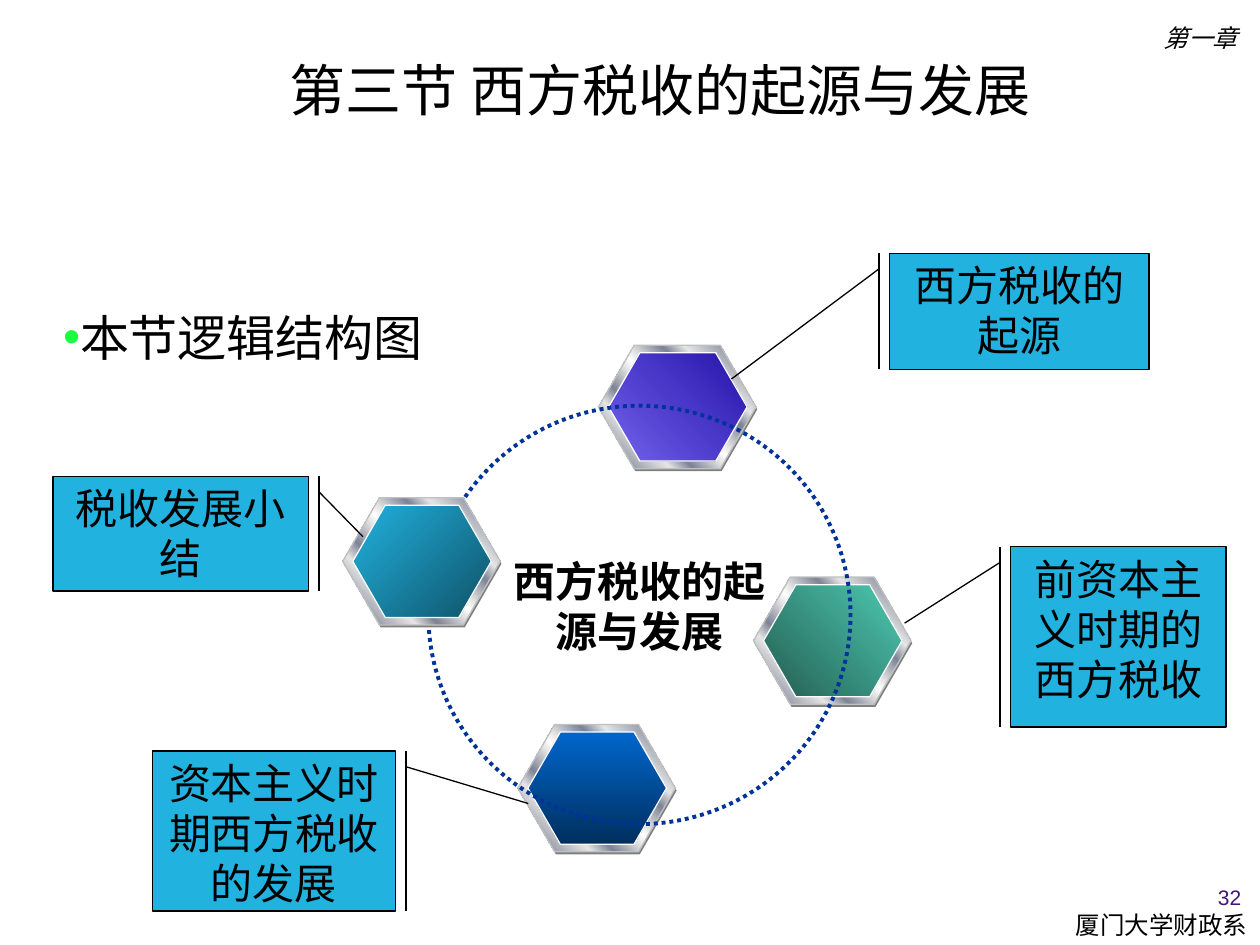
from lxml import etree
from pptx import Presentation
from pptx.dml.color import RGBColor
from pptx.enum import dml, shapes, text
from pptx.oxml.ns import qn
from pptx.util import Inches, Pt

SHAPE = shapes.MSO_SHAPE
CENTER, RIGHT = text.PP_ALIGN.CENTER, text.PP_ALIGN.RIGHT
METAL = list(zip((0, 8, 26, 34, 46, 50, 54, 66, 74, 92, 100),
                 ("E6E6E6", "7D8496") * 2 + ("E6E6E6", "FFFFFF", "E6E6E6")
                 + ("7D8496", "E6E6E6") * 2))


def rgb(value):
    """Turn a hex string into a colour."""
    return RGBColor.from_string(value)


def inches(box):
    """Turn left, top, width, height into lengths."""
    return [Inches(n) for n in box]


def write(sp, words, size, align=None, color="000000", font="Arial", bold=False,
          italic=False, inset=None, anchor=text.MSO_ANCHOR.TOP):
    """Put one formatted paragraph into a shape."""
    tf = sp.text_frame
    tf.text = words
    tf.word_wrap = True
    tf.auto_size = text.MSO_AUTO_SIZE.NONE
    tf.vertical_anchor = anchor
    if inset is not None:
        tf.margin_left = tf.margin_right = tf.margin_top = tf.margin_bottom = Inches(inset)
    p = tf.paragraphs[0]
    p.alignment = align
    p.space_before = Pt(0)
    f = p.runs[0].font
    f.size, f.name, f.bold, f.italic = Pt(size), font, bold, italic
    f.color.rgb = rgb(color)
    return p


def place(sp, box):
    """Move a placeholder into a box."""
    sp.left, sp.top, sp.width, sp.height = inches(box)


def label(s, box, words, size, align, **style):
    """Add a text box."""
    write(s.shapes.add_textbox(*inches(box)), words, size, align, **style)


def outline(sp, color, width):
    """Give a shape a plain line."""
    sp.line.color.rgb = rgb(color)
    sp.line.width = Pt(width)


def gradient(sp, stops, angle):
    """Fill a shape with a linear gradient, angle measured clockwise."""
    sp.fill.gradient()
    sp.fill.gradient_angle = (360 - angle) % 360
    gs_list = sp._element.spPr.find(qn("a:gradFill")).find(qn("a:gsLst"))
    for gs in list(gs_list):
        gs_list.remove(gs)
    for pos, color in stops:
        gs = etree.SubElement(gs_list, qn("a:gs"), pos=str(pos * 1000))
        etree.SubElement(gs, qn("a:srgbClr"), val=color)


def hexagon(parent, box):
    """Add a flat hexagon."""
    sp = parent.shapes.add_shape(SHAPE.HEXAGON, *inches(box))
    sp.shadow.inherit = False
    sp.adjustments[0], sp.adjustments[1] = 0.289, 1.155
    return sp


def badge(s, box, start, end, angle):
    """Group a grey edge, a metal rim and a coloured face."""
    x, y, w, h = box
    group = s.shapes.add_group_shape()
    edge = hexagon(group, (x + 0.01, y + 0.02, w, h))
    edge.fill.solid()
    edge.fill.fore_color.rgb = rgb("808080")
    edge.line.fill.background()
    rim = hexagon(group, box)
    gradient(rim, METAL, 315)
    outline(rim, "C0C0C0", 0.75)
    face = hexagon(group, (x + 0.08, y + 0.06, w - 0.15, h - 0.12))
    gradient(face, [(0, start), (100, end)], angle)
    outline(face, "FFFFFF", 0.75)


def ring(s, box):
    """Add the dotted circle."""
    sp = s.shapes.add_shape(SHAPE.OVAL, *inches(box))
    sp.shadow.inherit = False
    sp.fill.background()
    outline(sp, "003399", 2.25)
    sp.line.dash_style = dml.MSO_LINE.ROUND_DOT


def callout(s, box, words, pointer):
    """Add a bordered callout with an accent bar."""
    sp = s.shapes.add_shape(SHAPE.LINE_CALLOUT_1_BORDER_AND_ACCENT_BAR, *inches(box))
    sp.shadow.inherit = False
    for i, value in enumerate(pointer):
        sp.adjustments[i] = value
    sp.fill.solid()
    sp.fill.fore_color.rgb = rgb("21B2DF")
    outline(sp, "000000", 0.75)
    write(sp, words, 24, CENTER)


def heading(s, box):
    """Fill the title placeholder."""
    sp = s.shapes.title
    place(sp, box)
    write(sp, "第三节 西方税收的起源与发展", 32, CENTER)


def topic(s, box):
    """Fill the body placeholder with its bullet."""
    sp = s.placeholders[1]
    place(sp, box)
    p = write(sp, "本节逻辑结构图", 28, inset=0)
    sp.text_frame.margin_top = Inches(0.46)
    pPr = p._p.get_or_add_pPr()
    pPr.set("marL", "0")
    pPr.set("indent", "0")
    color = etree.SubElement(pPr, qn("a:buClr"))
    etree.SubElement(color, qn("a:srgbClr"), val="1CFC41")
    etree.SubElement(pPr, qn("a:buChar"), char="•")


def diagram(s):
    """Draw the ring, its badges and their callouts."""
    badge(s, (4.75, 2.74, 1.25, 0.98), "7262EC", "2614AA", 315)
    badge(s, (4.11, 5.75, 1.25, 1.01), "0066CC", "002F5E", 90)
    badge(s, (5.98, 4.58, 1.25, 1.01), "245D52", "4DC9B1", 315)
    ring(s, (3.4, 3.22, 3.35, 3.32))
    label(s, (3.89, 4.36, 2.37, 0.9), "西方税收的起源与发展", 24, CENTER, bold=True)
    badge(s, (2.72, 3.95, 1.25, 1.01), "21B2DF", "0F5267", 45)
    for box, words, pointer in (
            ((7.06, 2.01, 2.06, 0.92), "西方税收的起源", (0.136, -0.041, 1.085, -0.609)),
            ((1.21, 5.96, 1.93, 1.27), "资本主义时期西方税收的发展", (0.099, 1.043, 0.329, 1.546)),
            ((8.02, 4.34, 1.71, 1.43), "前资本主义时期的西方税收", (0.087, -0.049, 0.424, -0.492)),
            ((0.42, 3.78, 2.03, 0.91), "税收发展小结", (0.137, 1.041, 0.527, 1.212))):
        callout(s, box, words, pointer)


def main():
    """Build the slide."""
    prs = Presentation()
    prs.slide_width, prs.slide_height = Inches(10), Inches(7.5)
    s = prs.slides.add_slide(prs.slide_layouts[1])
    heading(s, (1.92, 0.39, 6.64, 1.17))
    topic(s, (0.5, 1.98, 9.5, 4.92))
    diagram(s)
    label(s, (9.33, 6.92, 0.62, 0.4), "32", 12, RIGHT, color="401579",
          anchor=text.MSO_ANCHOR.MIDDLE)
    label(s, (6.12, 7.17, 3.88, 0.33), "厦门大学财政系", 14, RIGHT, font="Noto Sans CJK SC")
    label(s, (6.78, 0.18, 3.04, 0.35), "第一章", 14, RIGHT, italic=True, inset=0)
    prs.save("out.pptx")


if __name__ == "__main__":
    main()
